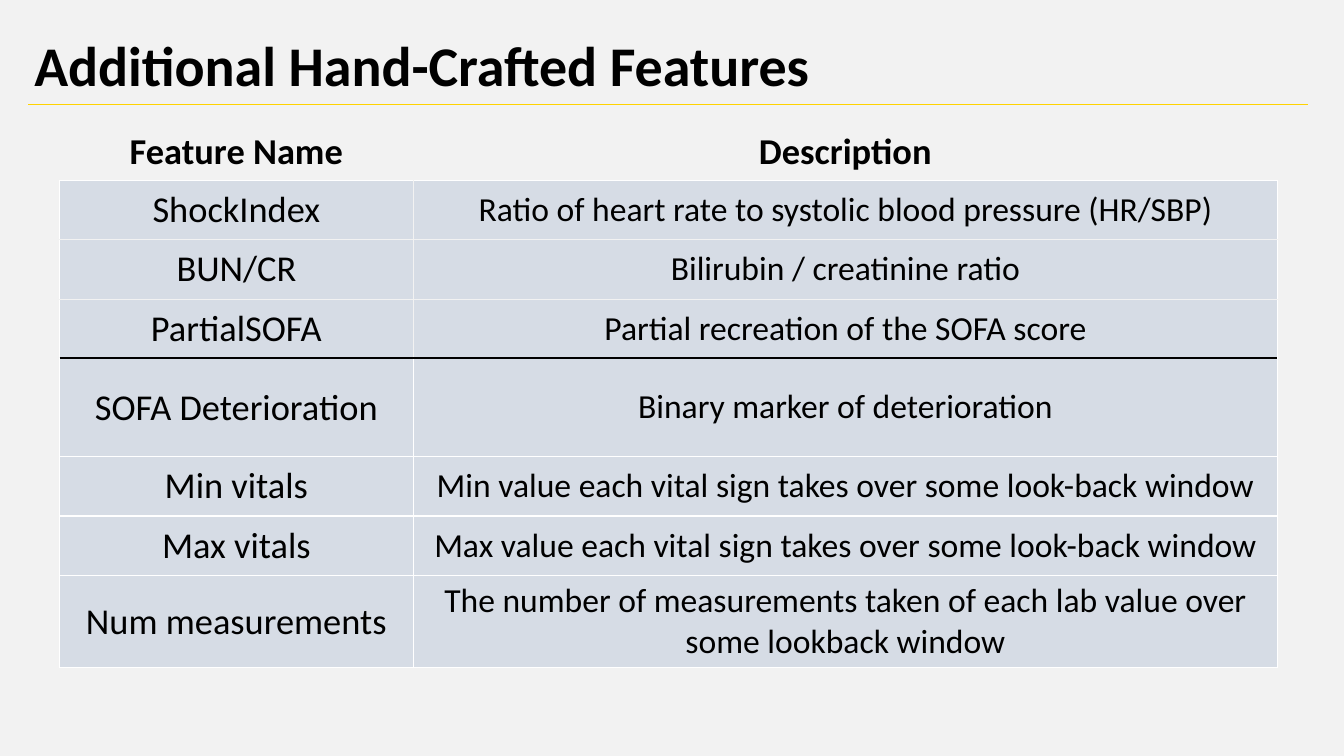
import pptx
import pptx.util
import pptx.dml.color
import pptx.enum.shapes
import pptx.enum.text
import pptx.oxml.ns
from lxml import etree

Cm = pptx.util.Cm
Pt = pptx.util.Pt
RGBColor = pptx.dml.color.RGBColor
qn = pptx.oxml.ns.qn

HEADING = "Additional Hand-Crafted Features"
COLUMNS = ("Feature Name", "Description")
FEATURES = [
    ("ShockIndex", "Ratio of heart rate to systolic blood pressure (HR/SBP)", 1.5),
    ("BUN/CR", "Bilirubin / creatinine ratio", 1.5),
    ("PartialSOFA", "Partial recreation of the SOFA score", 1.5),
    ("SOFA Deterioration", "Binary marker of deterioration", 2.46),
    ("Min vitals", "Min value each vital sign takes over some look-back window", 1.5),
    ("Max vitals", "Max value each vital sign takes over some look-back window", 1.5),
    ("Num measurements",
     "The number of measurements taken of each lab value over some lookback window", 2.31),
]
BASIC_FEATURES = 3
HEADER_HEIGHT = 1.42
COLUMN_WIDTHS = (8.92, 21.77)
TABLE_LEFT, TABLE_TOP = 1.5, 3.12

BACKGROUND = RGBColor(0xF2, 0xF2, 0xF2)
CELL = RGBColor(0xD6, 0xDC, 0xE5)
YELLOW = RGBColor(0xFF, 0xD3, 0x00)
WHITE = RGBColor(0xFF, 0xFF, 0xFF)
BLACK = RGBColor(0x00, 0x00, 0x00)


def format_text(frame, size, bold):
    for run in frame.paragraphs[0].runs:
        run.font.name = "Calibri"
        run.font.size = Pt(size)
        run.font.bold = bold
        run.font.color.rgb = BLACK


def set_borders(cell, colors):
    properties = cell._tc.get_or_add_tcPr()
    for position, (side, color) in enumerate(zip("LRTB", colors)):
        border = etree.Element(qn(f"a:ln{side}"), w=str(Pt(1)))
        if color is None:
            etree.SubElement(border, qn("a:noFill"))
        else:
            fill = etree.SubElement(border, qn("a:solidFill"))
            etree.SubElement(fill, qn("a:srgbClr"), val=str(color))
        properties.insert(position, border)


def add_rule(slide, left, right, y, color, width):
    rule = slide.shapes.add_connector(
        pptx.enum.shapes.MSO_CONNECTOR.STRAIGHT, Cm(left), Cm(y), Cm(right), Cm(y))
    rule.line.color.rgb = color
    rule.line.width = Pt(width)
    etree.SubElement(rule._element.spPr, qn("a:effectLst"))


def add_heading(slide):
    heading = slide.shapes.title
    heading.left, heading.top = Cm(0.61), Cm(0.46)
    heading.width, heading.height = Cm(32.46), Cm(2.51)
    frame = heading.text_frame
    frame.text = HEADING
    frame.vertical_anchor = pptx.enum.text.MSO_ANCHOR.MIDDLE
    frame.paragraphs[0].alignment = pptx.enum.text.PP_ALIGN.LEFT
    frame.paragraphs[0].line_spacing = 0.9
    format_text(frame, 40, True)


def add_features(slide):
    heights = [HEADER_HEIGHT] + [height for _, _, height in FEATURES]
    rows = [COLUMNS] + [feature[:2] for feature in FEATURES]
    features = slide.shapes.add_table(
        len(rows), len(COLUMNS), Cm(TABLE_LEFT), Cm(TABLE_TOP),
        Cm(sum(COLUMN_WIDTHS)), Cm(sum(heights))).table
    features.first_row = False
    features.horz_banding = False
    for column, width in zip(features.columns, COLUMN_WIDTHS):
        column.width = Cm(width)
    for r, (texts, height) in enumerate(zip(rows, heights)):
        features.rows[r].height = Cm(height)
        header = r == 0
        inner = BACKGROUND if r <= BASIC_FEATURES else WHITE
        top = WHITE if r == 1 else inner
        bottom = WHITE if r == BASIC_FEATURES else inner
        for c, text in enumerate(texts):
            cell = features.cell(r, c)
            cell.text = text
            cell.vertical_anchor = pptx.enum.text.MSO_ANCHOR.MIDDLE
            cell.text_frame.paragraphs[0].alignment = pptx.enum.text.PP_ALIGN.CENTER
            format_text(cell.text_frame, 26 if header or c == 0 else 24, header)
            if header:
                cell.fill.background()
                set_borders(cell, [None] * 4)
            else:
                cell.fill.solid()
                cell.fill.fore_color.rgb = CELL
                left, right = (WHITE, inner) if c == 0 else (inner, WHITE)
                set_borders(cell, (left, right, top, bottom))


def main():
    deck = pptx.Presentation()
    deck.slide_width, deck.slide_height = Cm(33.87), Cm(19.05)
    slide = deck.slides.add_slide(deck.slide_layouts[5])
    slide.background.fill.solid()
    slide.background.fill.fore_color.rgb = BACKGROUND
    add_rule(slide, 0.71, 32.97, 2.62, YELLOW, 0.5)
    add_heading(slide)
    add_features(slide)
    add_rule(slide, TABLE_LEFT, TABLE_LEFT + sum(COLUMN_WIDTHS), 9.02, BLACK, 1.75)
    deck.save("out.pptx")


if __name__ == "__main__":
    main()
